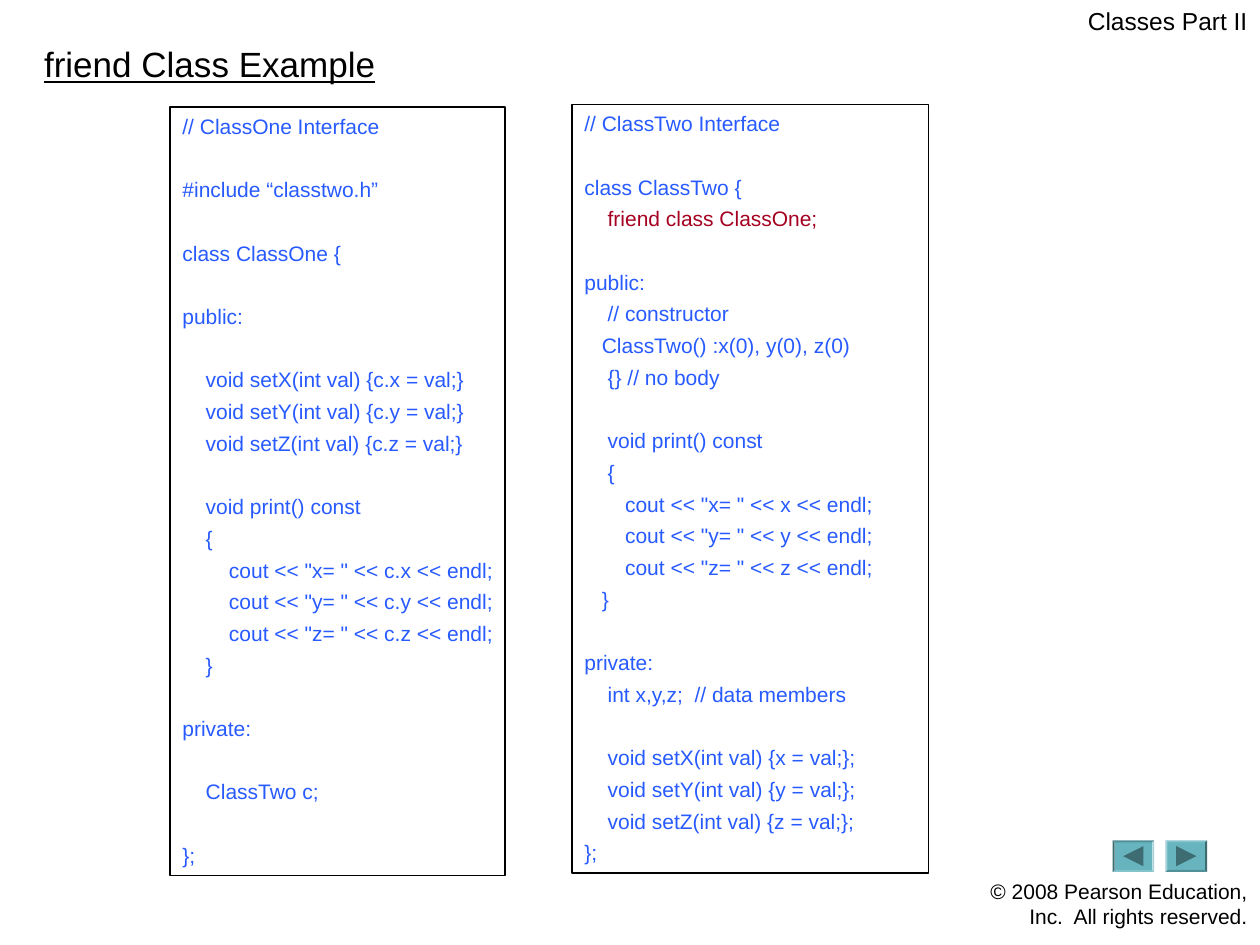
from pptx import Presentation
from pptx.dml.color import RGBColor as Rgb
from pptx.enum.shapes import MSO_SHAPE as Shape
from pptx.enum.text import MSO_ANCHOR as Anchor, PP_ALIGN as Align
from pptx.util import Inches, Pt

# Content
TITLE = "friend Class Example"
PART = "Classes Part II"
RIGHTS = "© 2008 Pearson Education, Inc.  All rights reserved."
FRIEND = "friend class ClassOne;"
ONE = """// ClassOne Interface

#include “classtwo.h”

class ClassOne {

public:

    void setX(int val) {c.x = val;}
    void setY(int val) {c.y = val;}
    void setZ(int val) {c.z = val;}

    void print() const
    {
        cout << "x= " << c.x << endl;
        cout << "y= " << c.y << endl;
        cout << "z= " << c.z << endl;
    }

private:

    ClassTwo c;

};"""
TWO = """// ClassTwo Interface

class ClassTwo {
    friend class ClassOne;

public:
    // constructor
   ClassTwo() :x(0), y(0), z(0)
    {} // no body

    void print() const
    {
       cout << "x= " << x << endl;
       cout << "y= " << y << endl;
       cout << "z= " << z << endl;
   }

private:
    int x,y,z;  // data members

    void setX(int val) {x = val;};
    void setY(int val) {y = val;};
    void setZ(int val) {z = val;};
};"""

# Look and layout, in inches and points
COLORS = {"ink": "000000", "code": "275AFF", "friend": "A50021",
          "button": "67B4BF", "arrow": "3E6C73"}
WIDE, HIGH = 10, 7.5
SIDE = WIDE * 0.233
PANELS = [(TWO, 4.54, 0.83, 2.83), (ONE, 1.35, 0.85, 2.66)]
TALL = 6.1
AFTER, BLANK = 3.7, 18.1
BUTTONS = [(9.25, 0), (8.83, 180)]
KEY_TOP, KEY_WIDE, KEY_HIGH, TIP = 6.67, 0.33, 0.25, 0.16


def color(name):
    return Rgb.from_string(COLORS[name])


def style(run, size, name):
    run.font.name = "Arial"
    run.font.size = Pt(size)
    run.font.color.rgb = color(name)


def place(shape, *box):
    shape.left, shape.top, shape.width, shape.height = map(Inches, box)


def corner(slide, text, top, high, size):
    """Right-aligned text at the right edge of the slide."""
    box = slide.shapes.add_textbox(0, 0, 0, 0)
    place(box, WIDE - SIDE, top, SIDE, high)
    frame = box.text_frame
    frame.word_wrap = True
    frame.text = text
    para = frame.paragraphs[0]
    para.alignment = Align.RIGHT
    style(para.runs[0], size, "ink")


def panel(slide, code, left, top, width):
    """Framed listing; an empty source line becomes space before the next."""
    box = slide.shapes.add_shape(Shape.RECTANGLE, 0, 0, 0, 0)
    place(box, left, top, width, TALL)
    box.shadow.inherit = False
    box.fill.background()
    box.line.color.rgb = color("ink")
    box.line.width = Pt(1)
    frame = box.text_frame
    frame.word_wrap = False
    frame.vertical_anchor = Anchor.TOP
    lines = code.split("\n")
    frame.text = "\n".join(line for line in lines if line)
    spaced = [not prev for prev, line in zip([code] + lines, lines) if line]
    for para, gap in zip(frame.paragraphs, spaced):
        para.alignment = Align.LEFT
        para.space_after = Pt(AFTER)
        if gap:
            para.space_before = Pt(BLANK)
        name = "friend" if para.text.strip() == FRIEND else "code"
        style(para.runs[0], 12, name)


def solid(slide, kind, name, turn, *box):
    shape = slide.shapes.add_shape(kind, 0, 0, 0, 0)
    place(shape, *box)
    shape.rotation = turn
    shape.shadow.inherit = False
    shape.fill.solid()
    shape.fill.fore_color.rgb = color(name)
    shape.line.fill.background()
    return shape


def button(slide, left, turn):
    """Bevelled key with a triangle in its middle."""
    key = solid(slide, Shape.BEVEL, "button", turn,
                left, KEY_TOP, KEY_WIDE, KEY_HIGH)
    key.adjustments[0] = 0.06
    solid(slide, Shape.ISOSCELES_TRIANGLE, "arrow", turn + 90,
          left + (KEY_WIDE - TIP) / 2, KEY_TOP + (KEY_HIGH - TIP) / 2, TIP, TIP)


def main():
    deck = Presentation()
    deck.slide_width, deck.slide_height = Inches(WIDE), Inches(HIGH)
    slide = deck.slides.add_slide(deck.slide_layouts[5])

    # Footer and navigation
    corner(slide, RIGHTS, 6.92, 0.5, 12)
    for left, turn in BUTTONS:
        button(slide, left, turn)

    # Headings
    corner(slide, PART, 0, 0.52, 14)
    title = slide.shapes.title
    place(title, 0.25, 0.29, 5.75, 0.43)
    title.text_frame.text = TITLE
    title.text_frame.vertical_anchor = Anchor.TOP
    para = title.text_frame.paragraphs[0]
    para.alignment = Align.LEFT
    style(para.runs[0], 20, "ink")
    para.runs[0].font.underline = True

    # Code listings
    for code, left, top, width in PANELS:
        panel(slide, code, left, top, width)

    deck.save("out.pptx")


if __name__ == "__main__":
    main()
